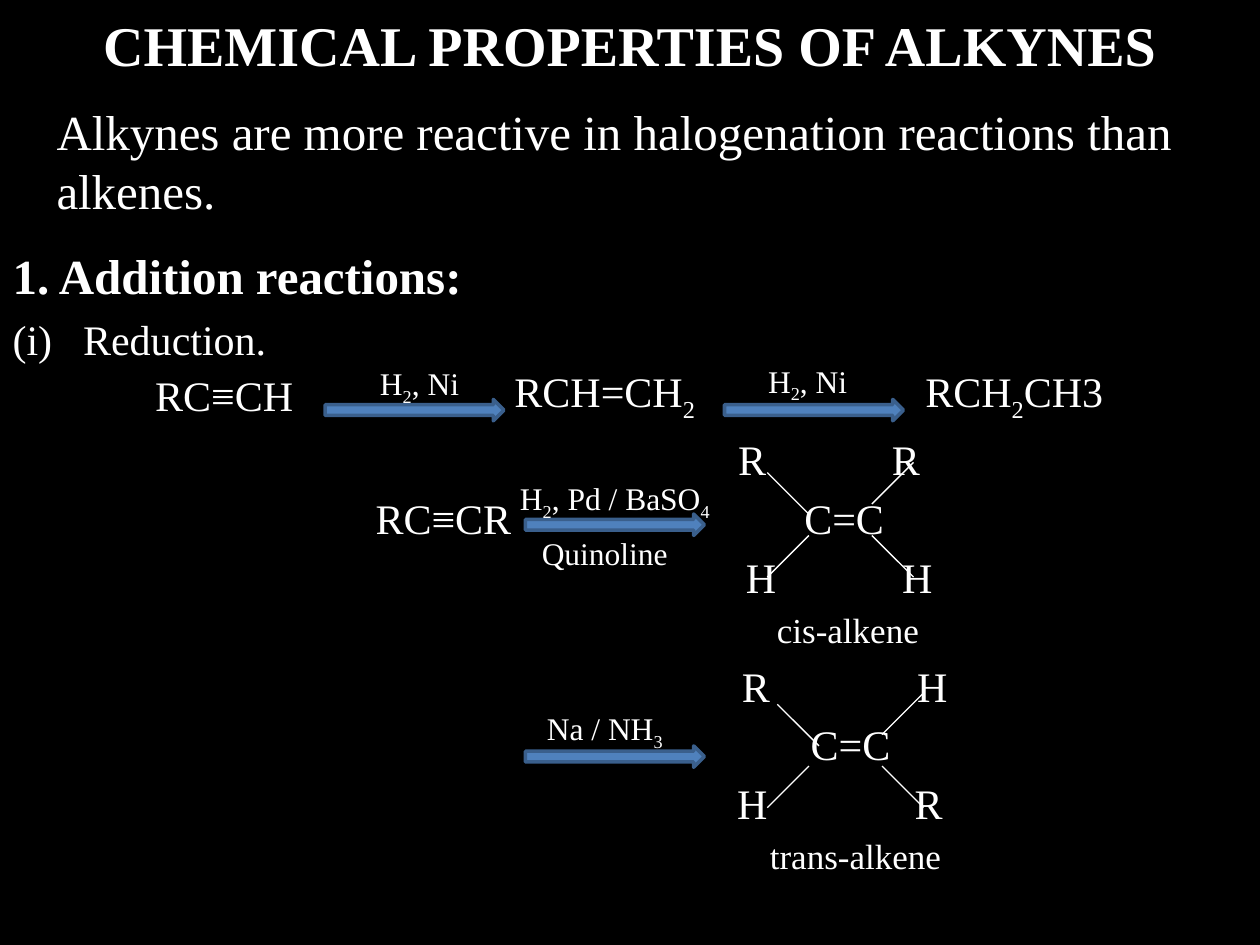
from pptx import Presentation
from pptx.dml.color import RGBColor
from pptx.enum.shapes import MSO_CONNECTOR, MSO_SHAPE
from pptx.enum.text import MSO_ANCHOR, MSO_AUTO_SIZE, PP_ALIGN
from pptx.oxml.ns import qn
from pptx.util import Inches, Pt
from lxml.etree import SubElement

COLORS = {"background": "000000", "text": "FFFFFF", "arrow": "4F81BD", "outline": "3A5F8C"}


class SlideBuilder:
    font_name = "Times New Roman"

    def __init__(self, presentation):
        self.slide = presentation.slides.add_slide(presentation.slide_layouts[1])
        fill = self.slide.background.fill
        fill.solid()
        fill.fore_color.rgb = self.color("background")

    def color(self, name):
        return RGBColor.from_string(COLORS[name])

    def place(self, shape, left, top, width, height):
        shape.left, shape.top = Inches(left), Inches(top)
        shape.width, shape.height = Inches(width), Inches(height)
        shape.text_frame.auto_size = MSO_AUTO_SIZE.NONE

    def format(self, paragraph, size, bold=False, alignment=PP_ALIGN.LEFT):
        paragraph.alignment = alignment
        font = paragraph.font
        font.name, font.size, font.bold = self.font_name, Pt(size), bold
        font.color.rgb = self.color("text")

    def title(self, text):
        shape = self.slide.shapes.title
        self.place(shape, 0, 0, 10, 0.7)
        shape.text_frame.text = text
        self.format(shape.text_frame.paragraphs[0], 32, True, PP_ALIGN.CENTER)

    def outline(self, heading, item):
        shape = self.slide.placeholders[1]
        self.place(shape, 0, 1.9, 5, 1)
        frame = shape.text_frame
        frame.text = heading
        first, second = frame.paragraphs[0], frame.add_paragraph()
        second.text = item
        self.format(first, 28, True)
        self.format(second, 24)
        first.space_before, second.space_before = Pt(0), Pt(5)
        properties = first._p.get_or_add_pPr()
        properties.set("marL", "0")
        properties.set("indent", "0")
        SubElement(properties, qn("a:buNone"))
        properties = second._p.get_or_add_pPr()
        properties.set("marL", str(Inches(0.56)))
        properties.set("indent", str(-Inches(0.56)))
        SubElement(properties, qn("a:buFont"), typeface="+mj-lt")
        SubElement(properties, qn("a:buAutoNum"), type="romanLcParenBoth")
        for paragraph in (first, second):
            paragraph_properties = paragraph._p.pPr
            default_run = paragraph_properties.find(qn("a:defRPr"))
            paragraph_properties.append(default_run)

    def statement(self, text, left, top, width, height):
        shape = self.slide.shapes.add_textbox(0, 0, 0, 0)
        self.place(shape, left, top, width, height)
        shape.text_frame.word_wrap = True
        shape.text_frame.text = text
        self.format(shape.text_frame.paragraphs[0], 28)

    def label(self, formula, center_x, center_y, size=24):
        shape = self.slide.shapes.add_textbox(0, 0, 0, 0)
        width, height = 2, 0.4
        self.place(shape, center_x - width / 2, center_y - height / 2, width, height)
        frame = shape.text_frame
        frame.word_wrap = True
        frame.margin_left = frame.margin_right = frame.margin_top = frame.margin_bottom = 0
        frame.vertical_anchor = MSO_ANCHOR.MIDDLE
        paragraph = frame.paragraphs[0]
        self.format(paragraph, size, alignment=PP_ALIGN.CENTER)
        normal, *subscripted = formula.split("_")
        paragraph.add_run().text = normal
        for part in subscripted:
            subscript = paragraph.add_run()
            subscript.text = part[0]
            subscript._r.get_or_add_rPr().set("baseline", "-25000")
            if part[1:]:
                paragraph.add_run().text = part[1:]

    def arrow(self, left, top):
        shape = self.slide.shapes.add_shape(
            MSO_SHAPE.RIGHT_ARROW, Inches(left), Inches(top), Inches(1.42), Inches(0.17))
        shape.shadow.inherit = False
        shape.fill.solid()
        shape.fill.fore_color.rgb = self.color("arrow")
        shape.line.color.rgb = self.color("outline")
        shape.line.width = Pt(2)

    def bond(self, x, y, side, rise):
        length = 0.33
        line = self.slide.shapes.add_connector(
            MSO_CONNECTOR.STRAIGHT, Inches(x), Inches(y),
            Inches(x + side * length), Inches(y + rise * length))
        line.line.color.rgb = self.color("text")
        line.line.width = Pt(0.75)
        SubElement(line._element.spPr, qn("a:effectLst"))


def main():
    presentation = Presentation()
    presentation.slide_width, presentation.slide_height = Inches(10), Inches(7.5)
    builder = SlideBuilder(presentation)
    builder.title("CHEMICAL PROPERTIES OF ALKYNES")
    builder.outline("1. Addition reactions:", "Reduction.")
    builder.statement("Alkynes are more reactive in halogenation reactions than alkenes.",
                      0.35, 0.76, 9.65, 1.04)

    for left, top in [(2.58, 3.17), (5.75, 3.17), (4.17, 4.08), (4.17, 5.92)]:
        builder.arrow(left, top)

    compounds = [
        ("RC≡CH", 1.78, 3.13), ("RCH=CH_2", 4.8, 3.13), ("RCH_2CH3", 8.05, 3.13),
        ("RC≡CR", 3.52, 4.11),
        ("R", 5.97, 3.64), ("R", 7.19, 3.64), ("C=C", 6.7, 4.11),
        ("H", 6.04, 4.58), ("H", 7.28, 4.58),
        ("R", 6, 5.44), ("H", 7.4, 5.44), ("C=C", 6.75, 5.9),
        ("H", 5.97, 6.37), ("R", 7.37, 6.37),
    ]
    for formula, x, y in compounds:
        builder.label(formula, x, y)

    for name, x, y in [("cis-alkene", 6.73, 5), ("trans-alkene", 6.79, 6.79)]:
        builder.label(name, x, y, 20)

    reagents = [
        ("H_2, Ni", 3.33, 3.06), ("H_2, Ni", 6.41, 3.04), ("H_2, Pd / BaSO_4", 4.88, 3.97),
        ("Quinoline", 4.8, 4.39), ("Na / NH_3", 4.8, 5.8),
    ]
    for formula, x, y in reagents:
        builder.label(formula, x, y, 18)

    bonds = [
        (6.42, 4.08, -1, -1), (6.92, 4, 1, -1), (6.42, 4.25, -1, 1), (6.92, 4.25, 1, 1),
        (6.5, 5.92, -1, -1), (7, 5.83, 1, -1), (6.42, 6.08, -1, 1), (7, 6.08, 1, 1),
    ]
    for x, y, side, rise in bonds:
        builder.bond(x, y, side, rise)

    presentation.save("out.pptx")


if __name__ == "__main__":
    main()
